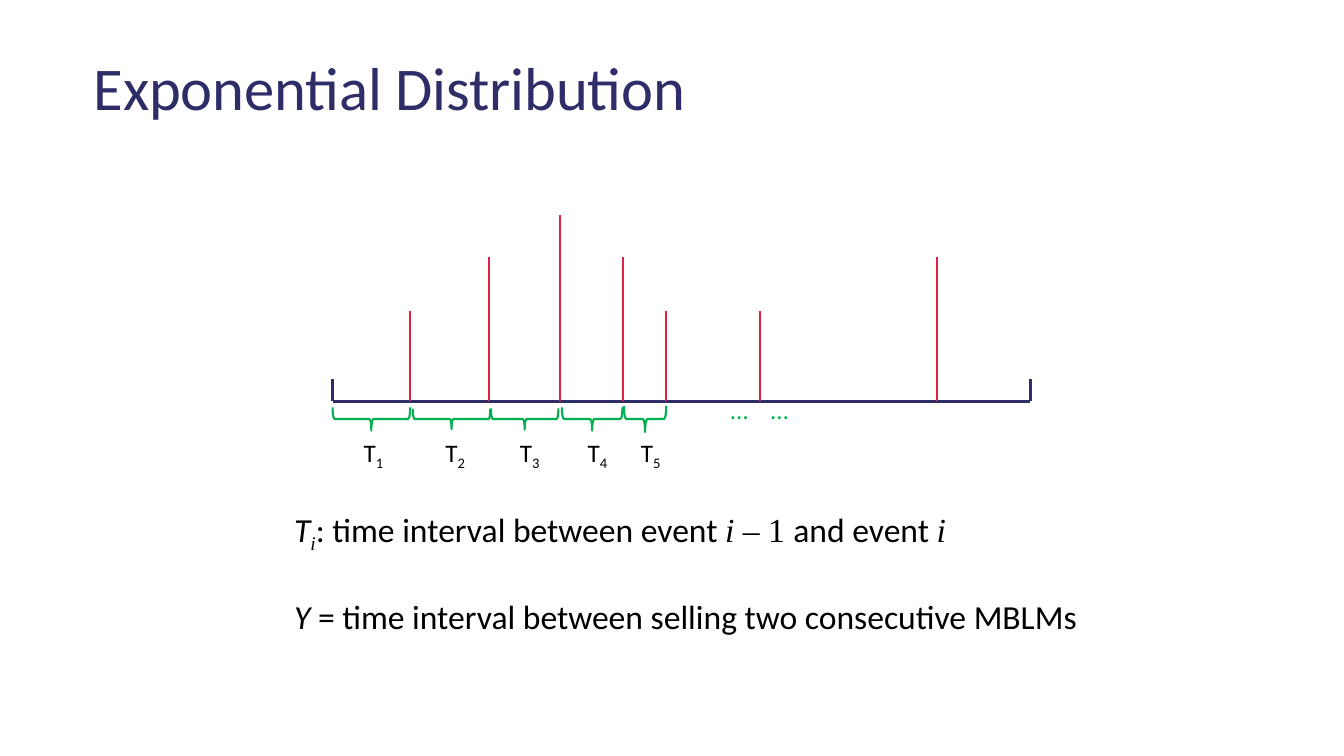
from dataclasses import dataclass
from typing import NamedTuple

from lxml.etree import SubElement
from pptx import Presentation
from pptx.dml.color import RGBColor as RGB
from pptx.enum.shapes import MSO_CONNECTOR as Connector, MSO_SHAPE as Shape
from pptx.enum.text import MSO_ANCHOR as Anchor, MSO_AUTO_SIZE as AutoSize, PP_ALIGN as Align
from pptx.oxml.ns import qn
from pptx.util import Pt


@dataclass(frozen=True)
class Theme:
    navy: RGB = RGB.from_string("2E2D67")
    red: RGB = RGB.from_string("E02246")
    green: RGB = RGB.from_string("00B050")
    black: RGB = RGB.from_string("000000")
    font: str = "Calibri"
    math_font: str = "Times New Roman"
    title_size: float = 43.3
    body_size: float = 24
    label_size: float = 18
    axis_width: float = 2.25
    line_width: float = 1.5


class Event(NamedTuple):
    x: float
    top: float


class Interval(NamedTuple):
    mid: float
    length: float
    depth: float
    label_left: float


class Span(NamedTuple):
    text: str
    math: bool = False
    italic: bool = False
    sub: bool = False


THEME = Theme()
AXIS_LEFT, AXIS_RIGHT, AXIS_Y, TICK_TOP = 237.6, 735.8, 286.6, 270.7
BRACE_MID_Y, LABEL_TOP = 299.3, 308.9
EVENTS = [
    Event(293, 222.5), Event(349.2, 183.6), Event(400.3, 153.4), Event(445, 183.6),
    Event(475.9, 222.5), Event(542.9, 222.5), Event(669.6, 183.6),
]
INTERVALS = [
    Interval(265.3, 55.4, 16.6, 252.7), Interval(322.6, 55.4, 14.4, 311),
    Interval(374.8, 48.2, 15.1, 364.3), Interval(423, 43.2, 16.6, 412.6),
    Interval(460.8, 30.2, 18.7, 450.7),
]
DEFINITIONS = [
    [
        Span("T", italic=True), Span("i", math=True, italic=True, sub=True),
        Span(": time interval between event "), Span("i", math=True, italic=True),
        Span(" – 1 ", math=True), Span("and event "), Span("i", math=True, italic=True),
    ],
    [Span("Y ", italic=True), Span("= time interval between selling two consecutive MBLMs")],
]


def add_line(s, x1: float, y1: float, x2: float, y2: float, color: RGB, width: float) -> None:
    line = s.shapes.add_connector(Connector.STRAIGHT, Pt(x1), Pt(y1), Pt(x2), Pt(y2))
    line.line.color.rgb = color
    line.line.width = Pt(width)
    SubElement(line._element.spPr, qn("a:effectLst"))


def add_brace(s, interval: Interval) -> None:
    sp = s.shapes.add_shape(
        Shape.LEFT_BRACE, Pt(interval.mid - interval.depth / 2),
        Pt(BRACE_MID_Y - interval.length / 2), Pt(interval.depth), Pt(interval.length))
    sp.rotation = 270
    sp.shadow.inherit = False
    sp.fill.background()
    sp.line.color.rgb = THEME.green
    sp.line.width = Pt(THEME.line_width)


def add_box(s, left: float, top: float, width: float, height: float, wrap: bool = True):
    tf = s.shapes.add_textbox(Pt(left), Pt(top), Pt(width), Pt(height)).text_frame
    tf.word_wrap = wrap
    return tf


def add_spans(p, spans: list[Span], size: float, color: RGB) -> None:
    for span in spans:
        r = p.add_run()
        r.text = span.text
        r.font.name = THEME.math_font if span.math else THEME.font
        r.font.size = Pt(size)
        r.font.italic = span.italic
        r.font.color.rgb = color
        if span.sub:
            r.font._element.set("baseline", "-25000")


def add_title(s) -> None:
    sp = s.shapes.title
    sp.left, sp.top, sp.width, sp.height = Pt(66.2), Pt(34.6), Pt(828), Pt(53.3)
    tf = sp.text_frame
    tf.text = "Exponential Distribution"
    tf.auto_size = AutoSize.NONE
    tf.vertical_anchor = Anchor.MIDDLE
    tf.margin_left = Pt(0.7)
    tf.margin_right = tf.margin_bottom = 0
    tf.margin_top = Pt(0.9)
    p = tf.paragraphs[0]
    p.alignment = Align.LEFT
    font = p.runs[0].font
    font.name = THEME.font
    font.size = Pt(THEME.title_size)
    font.color.rgb = THEME.navy
    font._element.set("spc", "-10")


def add_timeline(s) -> None:
    add_line(s, AXIS_LEFT, AXIS_Y, AXIS_RIGHT, AXIS_Y, THEME.navy, THEME.axis_width)
    for x in (AXIS_LEFT, AXIS_RIGHT):
        add_line(s, x, AXIS_Y, x, TICK_TOP, THEME.navy, THEME.axis_width)
    for event in EVENTS:
        add_line(s, event.x, event.top, event.x, AXIS_Y, THEME.red, THEME.line_width)


def add_intervals(s) -> None:
    for number, interval in enumerate(INTERVALS, 1):
        add_brace(s, interval)
        p = add_box(s, interval.label_left, LABEL_TOP, 31, 28.8).paragraphs[0]
        add_spans(p, [Span("T"), Span(str(number), sub=True)], THEME.label_size, THEME.black)


def add_ellipses(s) -> None:
    p = add_box(s, 514.8, 277.9, 95.8, 28.8).paragraphs[0]
    tabs = SubElement(p._p.get_or_add_pPr(), qn("a:tabLst"))
    SubElement(tabs, qn("a:tab"), pos=str(Pt(28.8)), algn="l")
    add_spans(p, [Span("…\t…")], THEME.label_size, THEME.green)


def add_definitions(s) -> None:
    tf = add_box(s, 203, 360, 594.7, 94.3, wrap=False)
    for i, spans in enumerate(DEFINITIONS):
        p = tf.add_paragraph() if i else tf.paragraphs[0]
        if i:
            p.space_before = Pt(29.3)
        add_spans(p, spans, THEME.body_size, THEME.black)


def main() -> None:
    prs = Presentation()
    prs.slide_width, prs.slide_height = Pt(960), Pt(540)
    s = prs.slides.add_slide(prs.slide_layouts[5])
    add_title(s)
    add_timeline(s)
    add_intervals(s)
    add_ellipses(s)
    add_definitions(s)
    prs.save("out.pptx")


if __name__ == "__main__":
    main()
